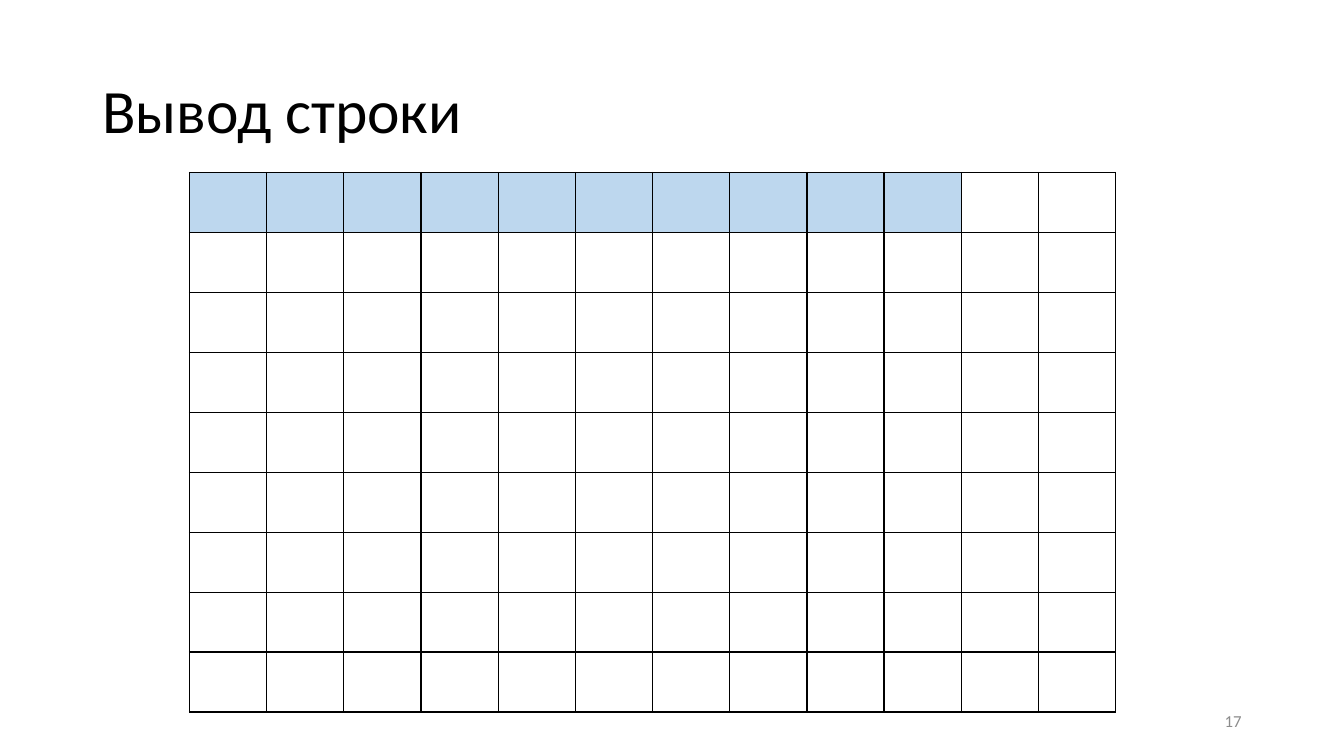
"""Builds the slide on string output with a grid of character cells."""
from lxml import etree
from pptx import Presentation
from pptx.dml.color import RGBColor
from pptx.enum.text import MSO_ANCHOR, PP_ALIGN
from pptx.oxml.ns import qn
from pptx.util import Pt

MIDDLE = MSO_ANCHOR.MIDDLE
LEFT, RIGHT = PP_ALIGN.LEFT, PP_ALIGN.RIGHT

FONT = "Calibri"
COLORS = {"text": "000000", "number": "8C8C8C", "border": "000000", "filled": "BDD7EE"}
TEXTS = [
    {"text": "Вывод строки", "box": (66, 28.75, 828, 104.4), "size": 44,
     "color": "text", "align": LEFT, "spacing": 0.9},
    {"text": "17", "box": (678, 500.5, 216, 28.75), "size": 12,
     "color": "number", "align": RIGHT, "spacing": 1.0},
]
GRID = {"left": 135.3, "top": 123.1, "rows": 9, "cols": 12,
        "cell_width": 55.15, "cell_height": 42.84, "filled": 10}
BORDER_WIDTH = 1


def add_text(slide, item):
    sp = slide.shapes.add_textbox(*map(Pt, item["box"]))
    tf = sp.text_frame
    tf.word_wrap = True
    tf.vertical_anchor = MIDDLE
    p = tf.paragraphs[0]
    p.text = item["text"]
    p.alignment = item["align"]
    p.line_spacing = item["spacing"]
    r = p.runs[0]
    r.font.name = FONT
    r.font.size = Pt(item["size"])
    r.font.color.rgb = RGBColor.from_string(COLORS[item["color"]])


def add_borders(cell):
    tcPr = cell._tc.get_or_add_tcPr()
    for i, side in enumerate(("a:lnL", "a:lnR", "a:lnT", "a:lnB")):
        ln = etree.Element(qn(side), w=str(Pt(BORDER_WIDTH)))
        fill = etree.SubElement(ln, qn("a:solidFill"))
        etree.SubElement(fill, qn("a:srgbClr"), val=COLORS["border"])
        tcPr.insert(i, ln)


def add_grid(slide):
    rows, cols = GRID["rows"], GRID["cols"]
    width, height = GRID["cell_width"], GRID["cell_height"]
    table = slide.shapes.add_table(
        rows, cols, Pt(GRID["left"]), Pt(GRID["top"]),
        Pt(cols * width), Pt(rows * height)).table
    table.first_row = False
    table.horz_banding = False
    for column in table.columns:
        column.width = Pt(width)
    for i, row in enumerate(table.rows):
        row.height = Pt(height)
        for j, cell in enumerate(row.cells):
            if i == 0 and j < GRID["filled"]:
                cell.fill.solid()
                cell.fill.fore_color.rgb = RGBColor.from_string(COLORS["filled"])
            else:
                cell.fill.background()
            add_borders(cell)


def main():
    prs = Presentation()
    prs.slide_width, prs.slide_height = Pt(960), Pt(540)
    slide = prs.slides.add_slide(prs.slide_layouts[6])
    title, number = TEXTS
    add_text(slide, title)
    add_grid(slide)
    add_text(slide, number)
    prs.save("out.pptx")


if __name__ == "__main__":
    main()
